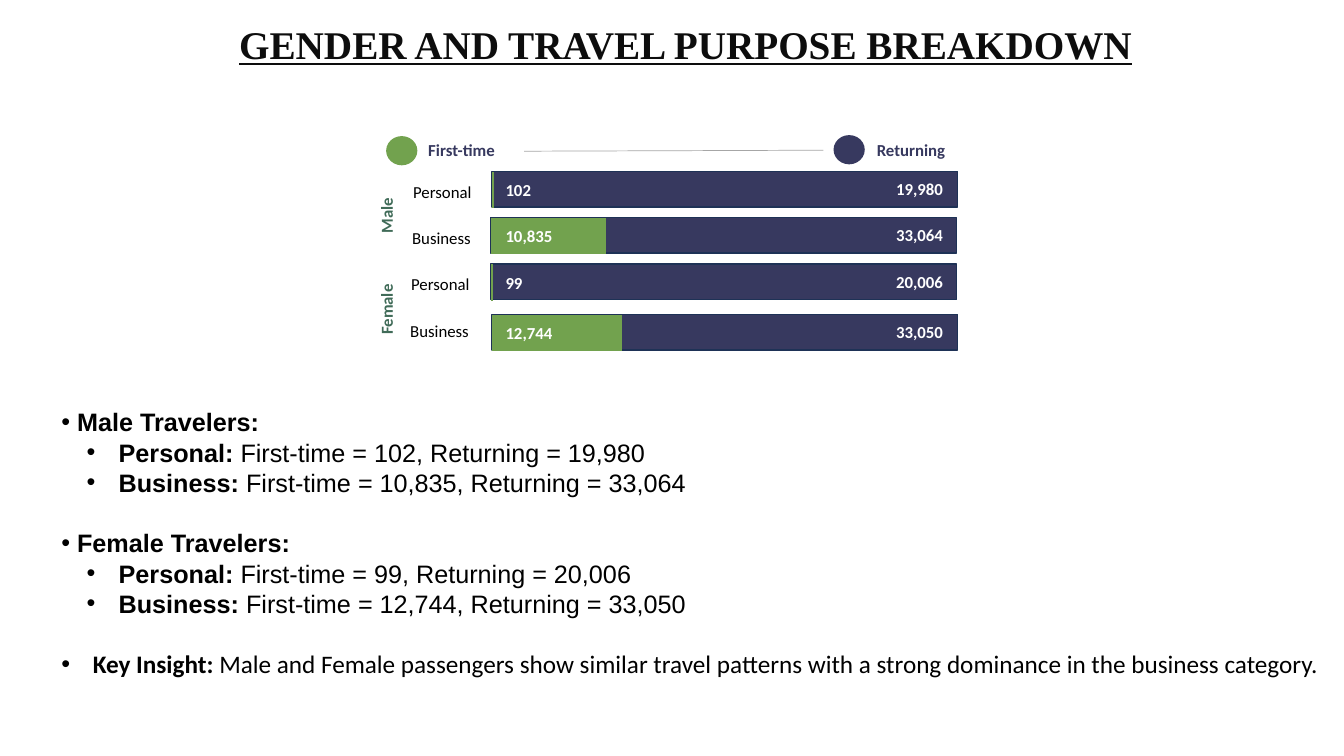
from lxml.etree import SubElement
from pptx import Presentation
from pptx.chart.data import CategoryChartData
from pptx.dml.color import RGBColor
from pptx.enum.chart import XL_CHART_TYPE
from pptx.enum.shapes import MSO_CONNECTOR, MSO_SHAPE
from pptx.enum.text import MSO_ANCHOR, PP_ALIGN
from pptx.oxml import parse_xml
from pptx.oxml.ns import nsdecls, qn
from pptx.util import Pt

TITLE = "GENDER AND TRAVEL PURPOSE BREAKDOWN"
# purpose, first-time, returning, bar left, bar top, axis maximum
ROWS = [
    ("Personal", "102", "19,980", 351.4, 122.4, 19688),
    ("Business", "10,835", "33,064", 350.6, 155.5, 405),
    ("Personal", "99", "20,006", 350.6, 188.6, 20308),
    ("Business", "12,744", "33,050", 351.4, 224.6, 359),
]
GENDERS = [("Male", 126), ("Female", 198.7)]
LEGEND = [("First-time", "green", 275.8, 97.2, 298.8),
          ("Returning", "navy", 595.4, 96.5, 619.2)]
# bold part, plain part, left margin, indent, space before, font
NOTES = [
    (" Male Travelers:", "", 0, 0, 0, "Arial"),
    (" Personal:", " First-time = 102, Returning = 19,980", 36, -18, 0, "Arial"),
    (" Business:", " First-time = 10,835, Returning = 33,064", 36, -18, 0, "Arial"),
    (" Female Travelers:", "", 0, 0, 21.6, "Arial"),
    (" Personal:", " First-time = 99, Returning = 20,006", 36, -18, 0, "Arial"),
    (" Business:", " First-time = 12,744, Returning = 33,050", 36, -18, 0, "Arial"),
    ("Key Insight:", " Male and Female passengers show similar travel patterns with a "
     "strong dominance in the business category.", 22.5, -22.5, 21.6, "Calibri"),
]
COLORS = {"ink": "0D0D0D", "black": "000000", "navy": "37395F", "edge": "1E3256",
          "green": "72A24E", "gender": "406B58", "grey": "A6A6A6", "white": "FFFFFF"}
PLOT = {"x": 0.03, "y": 0.07, "w": 0.94, "h": 0.85}


def rgb(name):
    return RGBColor.from_string(COLORS[name])


def add_run(p, text, size=12, font="Calibri", color="black", bold=False, underline=False):
    r = p.add_run()
    r.text = text
    r.font.size, r.font.name = Pt(size), font
    r.font.bold, r.font.underline = bold, underline
    r.font.color.rgb = rgb(color)


def add_box(s, x, y, w, h, anchor=MSO_ANCHOR.TOP):
    sp = s.shapes.add_textbox(Pt(x), Pt(y), Pt(w), Pt(h))
    sp.text_frame.word_wrap = True
    sp.text_frame.vertical_anchor = anchor
    return sp


def add_label(s, text, x, y, w=70.6, h=24.5, anchor=MSO_ANCHOR.TOP,
              align=PP_ALIGN.LEFT, rotation=0, **fmt):
    sp = add_box(s, x, y, w, h, anchor)
    sp.rotation = rotation
    p = sp.text_frame.paragraphs[0]
    p.alignment = align
    add_run(p, text, **fmt)


def add_figure(s, kind, x, y, w, h, fill, line=None):
    sp = s.shapes.add_shape(kind, Pt(x), Pt(y), Pt(w), Pt(h))
    sp.shadow.inherit = False
    sp.fill.solid()
    sp.fill.fore_color.rgb = rgb(fill)
    if line:
        sp.line.color.rgb = rgb(line)
        sp.line.width = Pt(1)
    else:
        sp.line.fill.background()


def add_bar(s, x, y, maximum):
    data = CategoryChartData(number_format="General")
    data.categories = ["1"]
    data.add_series("Series 1", [100])
    chart = s.shapes.add_chart(XL_CHART_TYPE.BAR_CLUSTERED, Pt(x), Pt(y),
                               Pt(355.7), Pt(86.4), data).chart
    chart.has_legend = chart.has_title = False
    chart.font.size, chart.font.name = Pt(10), "Calibri"
    chart.font.color.rgb = rgb("black")
    axis = chart.value_axis
    axis.minimum_scale, axis.maximum_scale = 0, maximum
    axis.has_major_gridlines = False
    axis.tick_labels.number_format = "0.0%"
    axis.tick_labels.number_format_is_linked = False
    axis.visible = chart.category_axis.visible = False
    plot = chart.plots[0]
    plot.gap_width, plot.vary_by_categories = 182, False
    fill = plot.series[0].format.fill
    fill.solid()
    fill.fore_color.rgb = rgb("green")
    area = chart.element.find(".//" + qn("c:plotArea"))
    for old in area.findall(qn("c:layout")):
        area.remove(old)
    parts = '<c:layoutTarget val="inner"/><c:xMode val="edge"/><c:yMode val="edge"/>'
    parts += "".join(f'<c:{key} val="{val}"/>' for key, val in PLOT.items())
    area.insert(0, parse_xml(f'<c:layout {nsdecls("c")}><c:manualLayout>{parts}'
                             "</c:manualLayout></c:layout>"))


def add_notes(s):
    tf = add_box(s, 36.7, 285.8, 923, 203.8, MSO_ANCHOR.MIDDLE).text_frame
    for i, (head, rest, margin, indent, before, font) in enumerate(NOTES):
        p = tf.add_paragraph() if i else tf.paragraphs[0]
        p.level = 1 if margin == 36 else 0
        p.line_spacing, p.space_before = Pt(21.6), Pt(before)
        pPr = p._p.get_or_add_pPr()
        pPr.set("marL", str(Pt(margin)))
        pPr.set("indent", str(Pt(indent)))
        SubElement(pPr, qn("a:buFont")).set("typeface", "Arial")
        SubElement(pPr, qn("a:buChar")).set("char", "•")
        add_run(p, head, size=18, font=font, bold=True)
        if rest:
            add_run(p, rest, size=18, font=font)


def main():
    """Build the gender and travel purpose slide."""
    prs = Presentation()
    prs.slide_width, prs.slide_height = Pt(960), Pt(540)
    s = prs.slides.add_slide(prs.slide_layouts[6])
    add_label(s, TITLE, 152.6, 10.8, 674, 41, align=PP_ALIGN.CENTER, size=28,
              font="Times New Roman", color="ink", bold=True, underline=True)

    for i, (purpose, first, returning, x, y, maximum) in enumerate(ROWS):
        add_figure(s, MSO_SHAPE.RECTANGLE, x, y, 332.8, 25.4, "navy", "edge")
        add_bar(s, x - 10.8, y - 29.5, maximum)
        add_label(s, purpose, 288 - 0.7 * i, 124.6 + 33.1 * i, anchor=MSO_ANCHOR.MIDDLE)
        add_label(s, first, 354, y + 2.4, 49.7, 20.9, color="white", bold=True)
        add_label(s, returning, 633, y + 1.6, 49.7, 20.9, color="white", bold=True)

    for gender, y in GENDERS:
        add_label(s, gender, 240.5, y, anchor=MSO_ANCHOR.MIDDLE, rotation=270,
                  color="gender", bold=True)

    for name, color, x, y, text_x in LEGEND:
        add_figure(s, MSO_SHAPE.FLOWCHART_CONNECTOR, x, y, 22.3, 20.9, color)
        add_label(s, name, text_x, 96.5, color="navy", bold=True)
    cn = s.shapes.add_connector(MSO_CONNECTOR.STRAIGHT, Pt(374.4), Pt(108), Pt(588.2), Pt(107.3))
    cn.line.color.rgb = rgb("grey")
    cn.line.width = Pt(0.5)
    SubElement(cn._element.spPr, qn("a:effectLst"))

    add_notes(s)
    prs.save("out.pptx")


if __name__ == "__main__":
    main()
